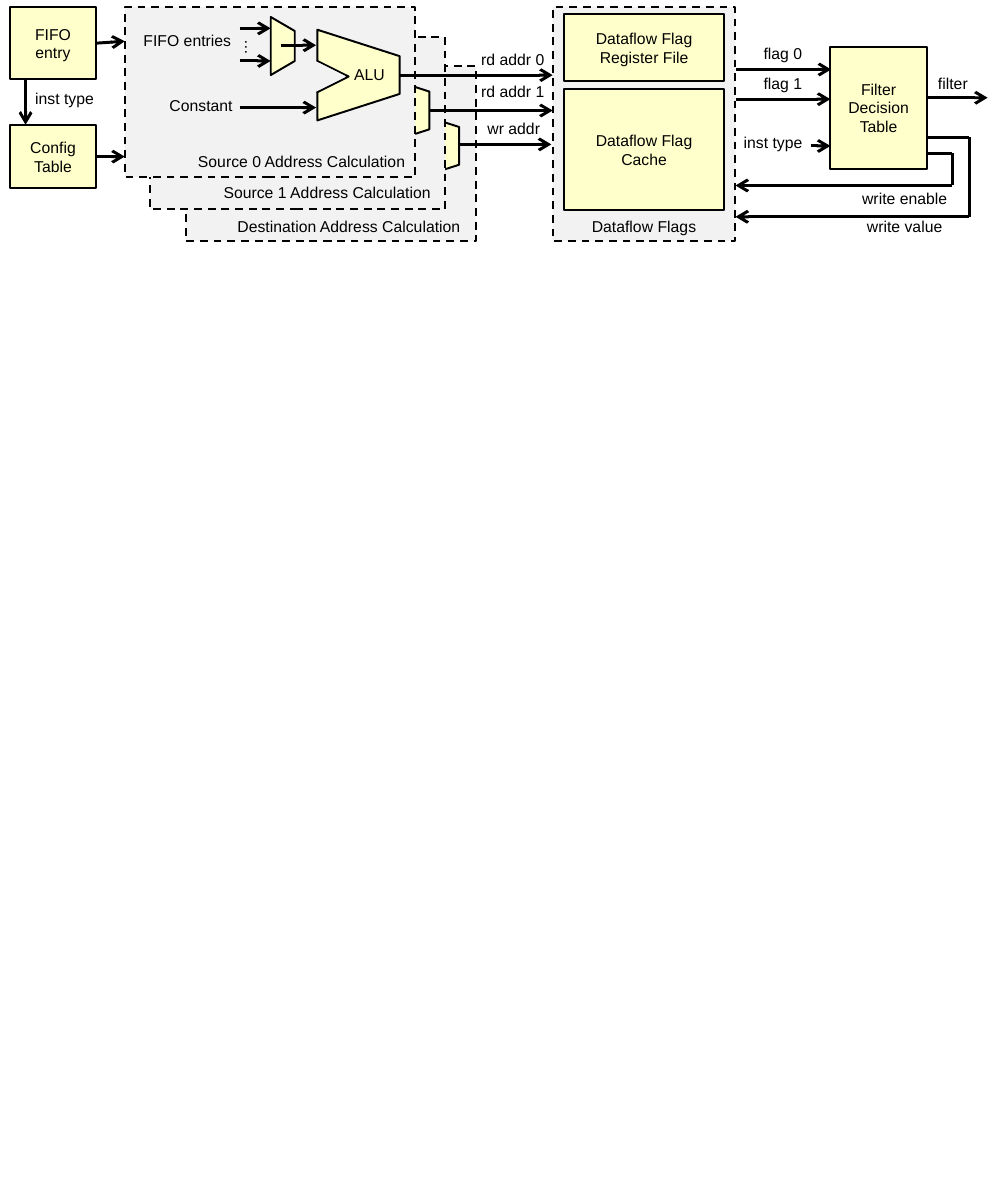
import itertools
import pptx
import pptx.dml.color
import pptx.enum.dml
import pptx.enum.shapes
import pptx.enum.text
import pptx.oxml
import pptx.oxml.ns
import pptx.util

Pt = pptx.util.Pt
KIND = pptx.enum.shapes.MSO_SHAPE
ALIGN = pptx.enum.text.PP_ALIGN
ANCHOR = pptx.enum.text.MSO_ANCHOR
YELLOW, GREY, WHITE, BLACK = "FFFFCC", "F2F2F2", "FFFFFF", "000000"
LABEL_HEIGHT = 17

# Address stages, back to front: panel (left, top, width, height)
STAGE_PANELS = [
    (94.3, 33.8, 147.6, 88.6),
    (76.3, 18.7, 149.8, 87.8),
    (63.4, 3.6, 147.6, 86.4),
]
ALU = (159.1, 17.3, 46.1, 41.8)  # before its quarter turn
STAGE_STEP = (15.1, 18)
NOTCHES = [  # left, top, fill, line
    (161.3, 31, WHITE, BLACK),
    (159.1, 31, GREY, GREY),
]
NOTCH_SIZE = 15.8
SELECTOR = (128.9, 17.3, 29.5, 12.2)
FLAGS_PANEL = (280.8, 3.6, 92.9, 118.8)

BOXES = {
    "FIFO entry": (5, 3.6, 43.9, 36.7),
    "Config Table": (5, 63.4, 43.9, 32.4),
    "Dataflow Flag Register File": (286.6, 7.2, 81.4, 33.8),
    "Dataflow Flag\nCache": (286.6, 45.4, 81.4, 61.2),
    "Filter Decision Table": (421.9, 23.8, 49, 61.9),
}

LABELS = [  # text, left, top, width, alignment
    ("FIFO entries", 63.4, 12.2, 61.2, ALIGN.RIGHT),
    ("Constant", 69.1, 45.4, 56.2, ALIGN.RIGHT),
    ("ALU", 172.8, 29.5, 35.3, ALIGN.LEFT),
    ("Source 0 Address Calculation", 87.1, 73.4, 126, ALIGN.RIGHT),
    ("Source 1 Address Calculation", 100.1, 89.3, 126, ALIGN.RIGHT),
    ("Destination Address Calculation", 108, 106.6, 133.2, ALIGN.RIGHT),
    ("rd addr 0", 229, 21.6, 54.7, ALIGN.RIGHT),
    ("rd addr 1", 232.6, 38.2, 51.1, ALIGN.RIGHT),
    ("wr addr", 230.4, 56.9, 51.1, ALIGN.RIGHT),
    ("Dataflow Flags", 280.8, 106.6, 92.9, ALIGN.CENTER),
    ("flag 0", 373.7, 18.7, 48.2, ALIGN.CENTER),
    ("flag 1", 373.7, 33.8, 48.2, ALIGN.CENTER),
    ("inst type", 370.8, 64.1, 48.2, ALIGN.LEFT),
    ("filter", 462.2, 33.8, 43.9, ALIGN.CENTER),
    ("write enable", 429.8, 92.2, 59.8, ALIGN.CENTER),
    ("write value", 429.8, 106.6, 59.8, ALIGN.CENTER),
    ("inst type", 10.8, 41.8, 51.1, ALIGN.LEFT),
]

ROUTES = [  # corner points; the last one carries the arrowhead
    [(13, 40.3), (13, 63.4)],
    [(121.7, 14.4), (137.5, 14.4)],
    [(121.7, 31), (137.5, 31)],
    [(121.7, 54.7), (160.6, 54.7)],
    [(142.6, 23), (160.6, 23)],
    [(203, 38.2), (280.8, 38.2)],
    [(218.2, 56.2), (280.8, 56.2)],
    [(233, 73.4), (280.1, 73.4)],
    [(373.7, 35.3), (422.3, 35.3)],
    [(373.7, 50.4), (421.9, 50.4)],
    [(411.8, 74.2), (421.9, 74.2)],
    [(470.9, 49.7), (501.8, 49.7)],
    [(470.9, 77.8), (483.8, 77.8), (483.8, 94.3), (373.7, 94.3)],
    [(470.9, 69.8), (492.5, 69.8), (492.5, 110.2), (373.7, 110.2)],
]
BOX_ARROWS = {"FIFO entry": (63.4, 21), "Config Table": (63.4, 79.6)}


def color(value):
    return pptx.dml.color.RGBColor.from_string(value)


def write(shape, text, align=ALIGN.CENTER, anchor=ANCHOR.MIDDLE, size=8):
    frame = shape.text_frame
    frame.word_wrap = True
    frame.vertical_anchor = anchor
    frame.text = text
    for paragraph in frame.paragraphs:
        paragraph.alignment = align
        font = paragraph.font
        font.name, font.size = "Arial", Pt(size)
        font.color.rgb = color(BLACK)


def add_shape(slide, kind, place, fill=YELLOW, line=BLACK, dashed=False,
              turn=0, adjustment=None):
    shape = slide.shapes.add_shape(kind, *map(Pt, place))
    shape.shadow.inherit = False
    shape.rotation = turn
    shape.fill.solid()
    shape.fill.fore_color.rgb = color(fill)
    shape.line.color.rgb = color(line)
    shape.line.width = Pt(1)
    if dashed:
        shape.line.dash_style = pptx.enum.dml.MSO_LINE.DASH
    if adjustment is not None:
        shape.adjustments[0] = adjustment
    return shape


def add_label(slide, text, left, top, width, align, turn=0):
    box = slide.shapes.add_textbox(*map(Pt, (left, top, width, LABEL_HEIGHT)))
    box.rotation = turn
    write(box, text, align=align, anchor=ANCHOR.TOP)
    box.text_frame.auto_size = pptx.enum.text.MSO_AUTO_SIZE.SHAPE_TO_FIT_TEXT


def add_line(slide, start, end, arrow=True):
    connector = slide.shapes.add_connector(
        pptx.enum.shapes.MSO_CONNECTOR.STRAIGHT, *map(Pt, start + end))
    connector.line.color.rgb = color(BLACK)
    connector.line.width = Pt(1.5)
    if arrow:
        outline = connector.line._get_or_add_ln()
        pptx.oxml.ns  # namespace helpers
        outline.append(pptx.oxml.parse_xml(
            f'<a:tailEnd {pptx.oxml.ns.nsdecls("a")} type="arrow"/>'))
    connector._element.spPr.append(pptx.oxml.parse_xml(
        f'<a:effectLst {pptx.oxml.ns.nsdecls("a")}/>'))
    return connector


def add_stages(slide):
    """Stack the three address stages, the front one with its full ALU."""
    for depth, panel in zip((2, 1, 0), STAGE_PANELS):
        add_shape(slide, KIND.RECTANGLE, panel, fill=GREY, dashed=True)
        left, top, width, height = ALU
        place = (left + depth * STAGE_STEP[0], top + depth * STAGE_STEP[1],
                 width, height)
        add_shape(slide, KIND.TRAPEZOID, place, turn=90, adjustment=0.322)
    for left, top, fill, line in NOTCHES:
        add_shape(slide, KIND.ISOSCELES_TRIANGLE,
                  (left, top, NOTCH_SIZE, NOTCH_SIZE),
                  fill=fill, line=line, turn=90)
    add_shape(slide, KIND.TRAPEZOID, SELECTOR, turn=90, adjustment=0.586)
    add_label(slide, "…", 117.4, 14.4, 20.2, ALIGN.LEFT, turn=90)


def main():
    presentation = pptx.Presentation()
    presentation.slide_width, presentation.slide_height = Pt(504), Pt(612)
    slide = presentation.slides.add_slide(presentation.slide_layouts[6])

    add_stages(slide)
    add_shape(slide, KIND.RECTANGLE, FLAGS_PANEL, fill=GREY, dashed=True)
    boxes = {}
    for text, place in BOXES.items():
        boxes[text] = add_shape(slide, KIND.RECTANGLE, place)
        write(boxes[text], text)

    for route in ROUTES:
        for start, end in itertools.pairwise(route):
            add_line(slide, start, end, arrow=end == route[-1])
    for name, end in BOX_ARROWS.items():
        add_line(slide, end, end).begin_connect(boxes[name], 3)
    for label in LABELS:
        add_label(slide, *label)

    presentation.save("out.pptx")


if __name__ == "__main__":
    main()
